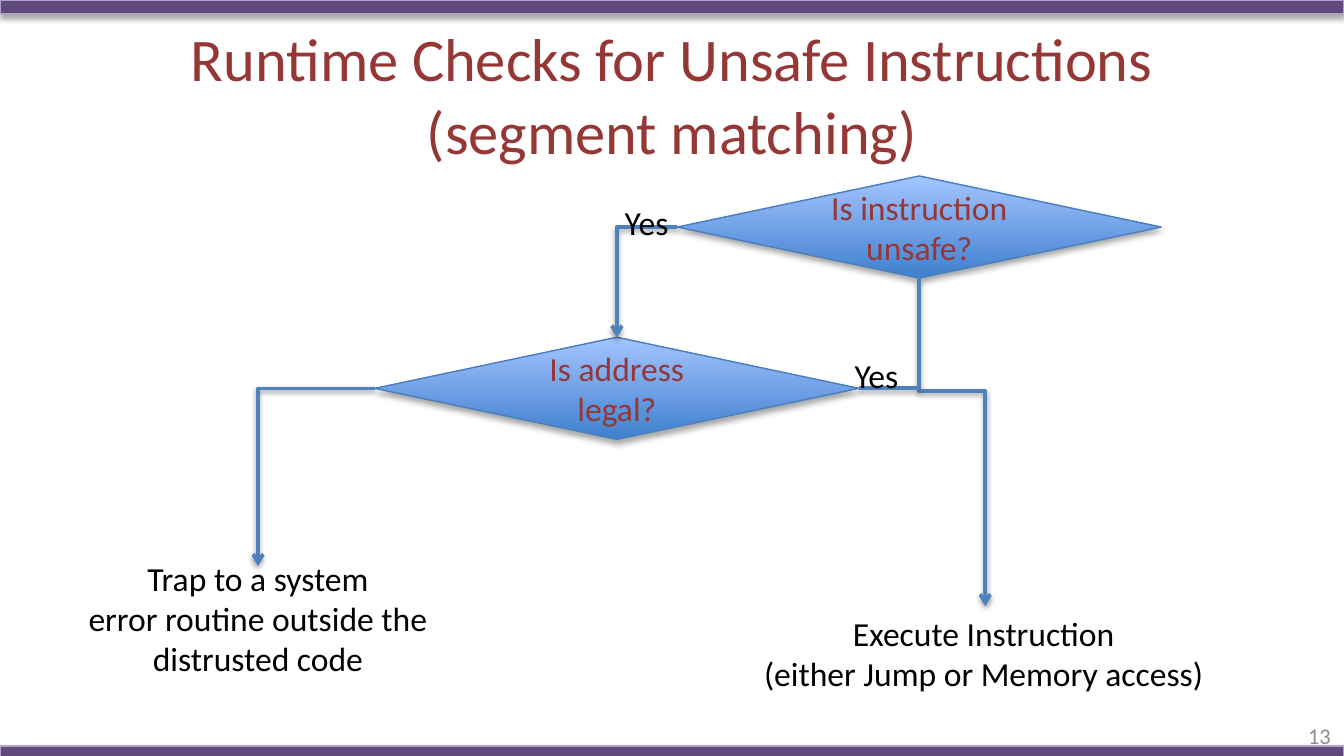
from lxml import etree
from pptx import Presentation
from pptx import util as u
from pptx.dml.color import RGBColor
from pptx.enum import shapes, text
from pptx.oxml.ns import qn

THEME = {
    "font": "Calibri",
    "bar": "604A7B", "rim": "B3A2C7",
    "low": "3F80CE", "high": "A4C4FF", "edge": "4B7EBC",
    "flow": "4F81BD", "head": "953735", "body": "000000", "num": "8C8C8C",
    "big": 32.4, "mid": 18, "small": 12, "thin": 0.75, "thick": 2,
}
AL = text.PP_ALIGN
MID, TOP = text.MSO_ANCHOR.MIDDLE, text.MSO_ANCHOR.TOP

# Content: text, place, and format
WIDE = u.Inches(10)
HIGH = WIDE * 9 // 16
BARS = [0, 5.55]
STEPS = [("Is instruction unsafe?", 5.04, 1.31), ("Is address legal?", 2.79, 2.51)]
STEP_W, STEP_H = 3.6, 0.76
HEADS = [
    ("Runtime Checks for Unsafe Instructions\v(segment matching)",
     (0.5, 0.23, 9, 0.94), "big", "head", AL.CENTER),
    ("13", (7.67, 5.32, 2.33, 0.3), "small", "num", AL.RIGHT),
]
NOTES = [
    ("Yes", (4.55, 1.45, 0.55, 0.4), AL.LEFT),
    ("Yes", (6.26, 2.59, 0.55, 0.4), AL.LEFT),
    ("Execute Instruction\n(either Jump or Memory access)", (5.57, 4.51, 3.5, 0.71), AL.CENTER),
    ("Trap to a system\verror routine outside the\vdistrusted code",
     (0.54, 4.1, 2.76, 1.01), AL.CENTER),
]
# Flow lines: preset, frame, turn and flip, bend, arrow
TURN = {"rot": "10800000", "flipV": "1"}
SIDE = {"rot": "16200000", "flipH": "1"}
FLOWS = [
    ("bentConnector2", (4.59, 1.69, 0.45, 0.82), TURN, None, True),
    ("bentConnector3", (5.87, 3.05, 2.43, 0.49), SIDE, 34100, True),
    ("line", (6.39, 2.89, 0.45, 0), {}, None, False),
    ("bentConnector2", (1.92, 2.89, 0.87, 1.32), TURN, None, True),
]


def rgb(key):
    return RGBColor.from_string(THEME[key])


def inches(box):
    return [u.Inches(v) for v in box]


def put(obj, form):
    for key, val in form.items():
        setattr(obj, key, val)


def shade(props, alpha, dist):
    fx = etree.SubElement(props, qn("a:effectLst"))
    drop = etree.SubElement(fx, qn("a:outerShdw"), blurRad=str(u.Pt(3.1)),
                            dist=str(u.Pt(dist)), dir="5400000", rotWithShape="0")
    tint = etree.SubElement(drop, qn("a:srgbClr"), val=THEME["body"])
    etree.SubElement(tint, qn("a:alpha"), val=str(alpha * 1000))


def write(shape, words, size, tone, align, form):
    frame = shape.text_frame
    put(frame, form)
    frame.text = words
    for para in frame.paragraphs:
        para.alignment = align
        put(para.font, {"name": THEME["font"], "size": u.Pt(THEME[size])})
        para.font.color.rgb = rgb(tone)


def block(kind, box, edge):
    shape = slide.shapes.add_shape(kind, *inches(box))
    shape.line.color.rgb = rgb(edge)
    shape.line.width = u.Pt(THEME["thin"])
    return shape


deck = Presentation()
put(deck, {"slide_width": WIDE, "slide_height": HIGH})
slide = deck.slides.add_slide(deck.slide_layouts[6])

# Bars at top and bottom
for top in BARS:
    bar = block(shapes.MSO_SHAPE.RECTANGLE, (0, top, 10, 0.1), "rim")
    bar.fill.solid()
    bar.fill.fore_color.rgb = rgb("bar")
    shade(bar.element.spPr, 35, 1.8)

# Title and page number
for words, box, size, tone, align in HEADS:
    area = slide.shapes.add_textbox(*inches(box))
    write(area, words, size, tone, align, {"word_wrap": True, "vertical_anchor": MID})

# Decision diamonds
for words, left, top in STEPS:
    step = block(shapes.MSO_SHAPE.DIAMOND, (left, top, STEP_W, STEP_H), "edge")
    step.fill.gradient()
    step.fill.gradient_angle = 90
    for stop, tone, spot in zip(step.fill.gradient_stops, ("low", "high"), (0, 1)):
        stop.color.rgb = rgb(tone)
        stop.position = spot
    shade(step.element.spPr, 35, 1.8)
    write(step, words, "mid", "head", AL.CENTER, {"word_wrap": True, "vertical_anchor": MID})

# Flow lines
for kind, (left, top, wide, high), turn, bend, arrow in FLOWS:
    ends = inches((left, top, left + wide, top + high))
    flow = slide.shapes.add_connector(shapes.MSO_CONNECTOR.ELBOW, *ends)
    props = flow.element.spPr
    for key, val in turn.items():
        props.find(qn("a:xfrm")).set(key, val)
    geom = props.find(qn("a:prstGeom"))
    geom.set("prst", kind)
    if bend:
        etree.SubElement(geom.find(qn("a:avLst")), qn("a:gd"),
                         name="adj1", fmla=f"val {bend}")
    flow.line.color.rgb = rgb("flow")
    flow.line.width = u.Pt(THEME["thick"])
    if arrow:
        etree.SubElement(props.find(qn("a:ln")), qn("a:tailEnd"), type="arrow")
    shade(props, 38, 1.6)

# Labels and outcomes
for words, box, align in NOTES:
    note = slide.shapes.add_textbox(*inches(box))
    write(note, words, "mid", "body", align, {
        "word_wrap": False, "vertical_anchor": TOP,
        "auto_size": text.MSO_AUTO_SIZE.SHAPE_TO_FIT_TEXT})

deck.save("out.pptx")
